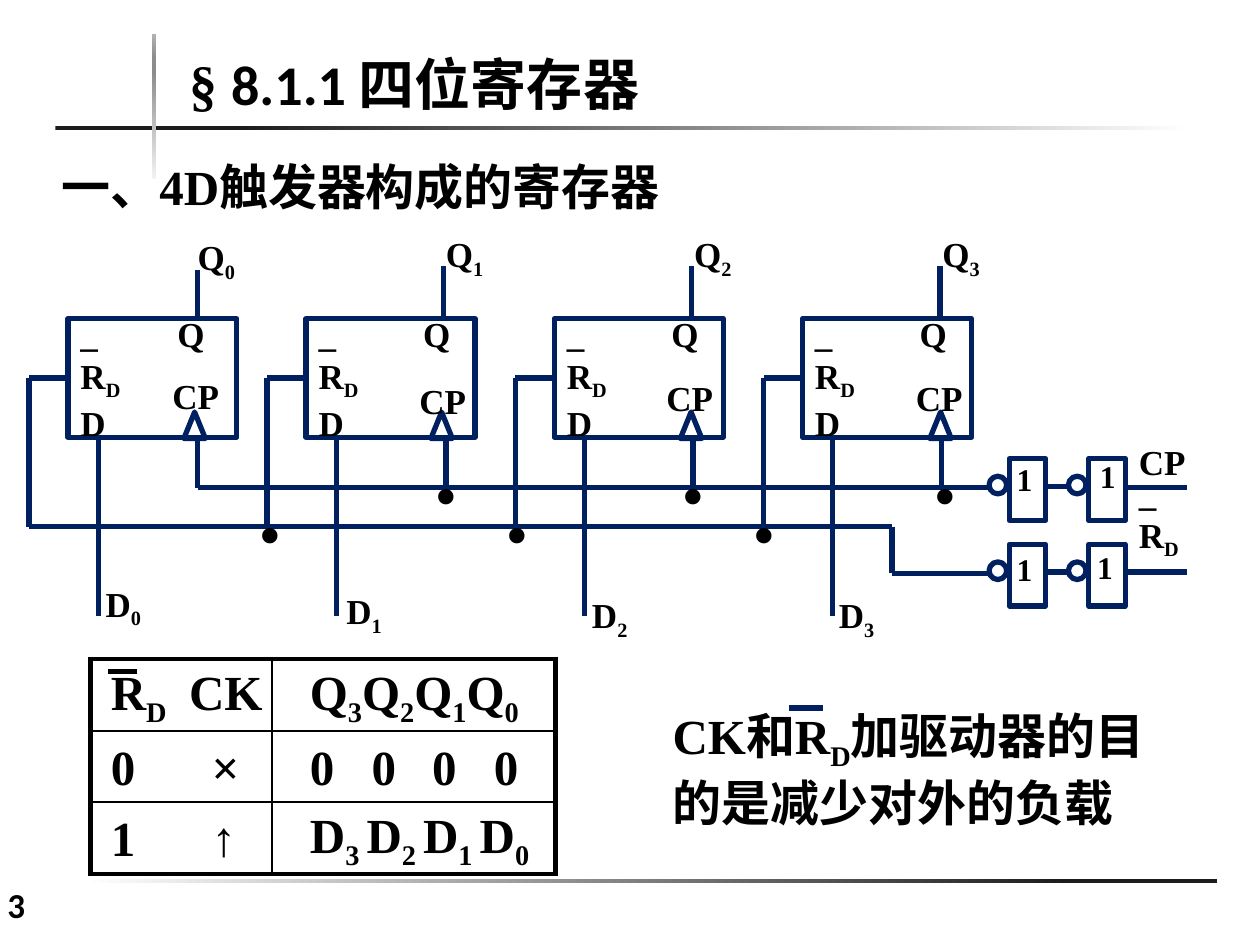
from copy import deepcopy
from lxml.etree import SubElement
from pptx import Presentation
from pptx.dml.color import RGBColor
from pptx.enum.shapes import MSO_CONNECTOR as CONN, MSO_SHAPE as SHAPE
from pptx.enum.text import MSO_ANCHOR as ANCHOR, PP_ALIGN as ALIGN
from pptx.oxml import parse_xml
from pptx.oxml.ns import nsdecls, qn
from pptx.util import Inches, Pt

BLACK = RGBColor(0, 0, 0)
NAVY = RGBColor(0x00, 0x20, 0x60)
WHITE = RGBColor(0xFF, 0xFF, 0xFF)
DARK = RGBColor(0x1C, 0x1C, 0x1C)
PALE = RGBColor(0xF2, 0xF2, 0xF2)
GREY = RGBColor(0x8C, 0x8C, 0x8C)
SILVER = RGBColor(0xB2, 0xB2, 0xB2)
SERIF, SANS = "Times New Roman", "Calibri"

CLOCK_Y, RESET_Y, PIN_Y, BOX_BOTTOM = 3.87, 4.18, 3, 3.47
FLIP_FLOPS = [
    dict(left=0.54, q_tab=0.77, clock=1.57, q_x=1.57, q_top=2.14,
         q_label=(1.47, 1.82), d_label=(0.74, 4.57), tri=1.46, cp=(1.27, 2.92)),
    dict(left=2.43, q_tab=0.83, clock=3.54, q_x=3.52, q_top=2.11,
         q_label=(3.44, 1.8), d_label=(2.65, 4.63), tri=3.42, cp=(3.23, 2.96)),
    dict(left=4.4, q_tab=0.83, clock=5.5, q_x=5.49, q_top=2.11,
         q_label=(5.41, 1.8), d_label=(4.6, 4.66), tri=5.4, cp=(5.19, 2.94)),
    dict(left=6.37, q_tab=0.83, clock=7.47, q_x=7.46, q_top=2.11,
         q_label=(7.38, 1.8), d_label=(6.56, 4.66), tri=7.38, cp=(7.17, 2.94)),
]
JUNCTIONS = [(1.95, 3.51), (3.91, 3.51), (5.87, 3.51),
             (3.35, 3.2), (5.31, 3.2), (7.31, 3.2)]
GATE_LABELS = [(7.97, 3.6), (8.63, 3.58), (8.61, 4.3), (7.97, 4.32)]
TRUTH_TABLE = [
    [("R~D~\tCK", [0.62]), ("Q~3~Q~2~Q~1~Q~0~", [])],
    [("0\t×", [0.8]), ("0\t0\t0\t0", [0.49, 0.97, 1.46])],
    [("1\t↑", [0.8]), ("D~3 ~D~2 ~D~1 ~D~0~", [])],
]


def add_run(p, text, size, name=SERIF, subscript=False):
    r = p.add_run()
    r.text = text
    for key, value in dict(size=Pt(size), name=name, bold=True).items():
        setattr(r.font, key, value)
    r.font.color.rgb = BLACK
    if subscript:
        r._r.get_or_add_rPr().set("baseline", "-25000")


def write(tf, lines, size, name=SERIF, tabs=()):
    for i, line in enumerate(lines):
        p = tf.paragraphs[0] if i == 0 else tf.add_paragraph()
        p.alignment = ALIGN.LEFT
        if tabs and i == 0:
            tab_list = SubElement(p._p.get_or_add_pPr(), qn("a:tabLst"))
            for tab in tabs:
                SubElement(tab_list, qn("a:tab"), pos=str(Inches(tab)), algn="l")
        for j, piece in enumerate(line.split("~")):
            if piece:
                add_run(p, piece, size, name, subscript=j % 2 == 1)


def add_label(slide, at, lines, size, name=SERIF, wrap=True, anchor=ANCHOR.TOP):
    tf = slide.shapes.add_textbox(*map(Inches, at)).text_frame
    tf.word_wrap = wrap
    tf.vertical_anchor = anchor
    write(tf, lines, size, name)
    return tf


def add_outline(slide, kind, at):
    sp = slide.shapes.add_shape(kind, *map(Inches, at))
    sp.shadow.inherit = False
    sp.fill.background()
    sp.line.color.rgb = NAVY
    sp.line.width = Pt(3)
    return sp


def add_wire(slide, *points, color=NAVY):
    for start, end in zip(points, points[1:]):
        wire = slide.shapes.add_connector(CONN.STRAIGHT, *map(Inches, start + end))
        wire.line.color.rgb = color
        wire.line.width = Pt(3)
        SubElement(wire._element.spPr, qn("a:effectLst"))


def add_gradient_bar(slide, at, stops, angle=0):
    sp = slide.shapes.add_shape(SHAPE.RECTANGLE, *map(Inches, at))
    sp.shadow.inherit = False
    sp.line.fill.background()
    sp.fill.gradient()
    sp.fill.gradient_angle = angle
    stop_list = sp._element.spPr.find(".//" + qn("a:gsLst"))
    for _ in stops[2:]:
        stop_list.append(deepcopy(stop_list[0]))
    for stop, (position, color) in zip(sp.fill.gradient_stops, stops):
        stop.position = position
        stop.color.rgb = color


def set_borders(cell, widths):
    tc_pr = cell._tc.get_or_add_tcPr()
    for i, (side, width) in enumerate(widths.items()):
        tc_pr.insert(i, parse_xml(
            f'<a:ln{side} {nsdecls("a")} w="{Pt(width)}"><a:solidFill>'
            f'<a:srgbClr val="{BLACK}"/></a:solidFill></a:ln{side}>'))


def add_truth_table(slide):
    at = map(Inches, (0.72, 5.23, 3.69, 1.69))
    table = slide.shapes.add_table(3, 2, *at).table
    table.first_row = table.horz_banding = False
    for column, width in zip(table.columns, (1.44, 2.25)):
        column.width = Inches(width)
    for i, row in enumerate(TRUTH_TABLE):
        for j, (text, tabs) in enumerate(row):
            cell = table.cell(i, j)
            fmt = dict(margin_left=Inches((0.16, 0.3)[j]), margin_right=0,
                       margin_top=Inches(0.04), margin_bottom=0,
                       vertical_anchor=ANCHOR.MIDDLE)
            for key, value in fmt.items():
                setattr(cell, key, value)
            cell.fill.background()
            write(cell.text_frame, [text], 28, tabs=tabs)
            set_borders(cell, dict(L=1 if j else 3, R=3 if j else 1,
                                   T=1 if i else 3, B=3 if i == 2 else 1))
    add_wire(slide, (0.86, 5.33), (1.09, 5.33), color=BLACK)


def add_flip_flop(slide, index, ff):
    left = ff["left"]
    box = add_outline(slide, SHAPE.RECTANGLE, (left, 2.53, 1.34, 0.94))
    box.text_frame.vertical_anchor = ANCHOR.MIDDLE
    write(box.text_frame, ["_\tQ", "R~D~", "D"], 20, tabs=[ff["q_tab"]])
    add_wire(slide, (left, PIN_Y), (left - 0.31, PIN_Y), (left - 0.31, RESET_Y))
    add_wire(slide, (left + 0.24, BOX_BOTTOM), (left + 0.24, 4.89))
    add_wire(slide, (ff["clock"], BOX_BOTTOM), (ff["clock"], CLOCK_Y))
    add_wire(slide, (ff["q_x"], 2.52), (ff["q_x"], ff["q_top"]))
    add_outline(slide, SHAPE.ISOSCELES_TRIANGLE, (ff["tri"], 3.27, 0.17, 0.21))
    add_label(slide, ff["cp"] + (0.6, 0.43), ["CP"], 20)
    add_label(slide, ff["q_label"] + (0.51, 0.44), [f"Q~{index}~"], 20, wrap=False)
    add_label(slide, ff["d_label"] + (0.5, 0.44), [f"D~{index}~"], 20, wrap=False)


def add_driver(slide, top, output_y):
    for left in (8.01, 8.64):
        add_outline(slide, SHAPE.RECTANGLE, (left, top, 0.29, 0.49))
        add_outline(slide, SHAPE.OVAL, (left - 0.16, top + 0.14, 0.14, 0.14))
    add_wire(slide, (8.3, top + 0.22), (8.48, top + 0.22))
    add_wire(slide, (8.94, output_y), (9.42, output_y))


def add_circuit(slide):
    for index, ff in enumerate(FLIP_FLOPS):
        add_flip_flop(slide, index, ff)
    add_wire(slide, (1.57, CLOCK_Y), (7.87, CLOCK_Y))
    add_wire(slide, (0.23, RESET_Y), (7.08, RESET_Y), (7.08, 4.55), (7.87, 4.55))
    add_driver(slide, 3.64, CLOCK_Y)
    add_driver(slide, 4.32, 4.54)
    add_label(slide, (8.94, 3.45, 0.58, 0.44), ["CP"], 20, wrap=False)
    add_label(slide, (8.94, 3.69, 0.54, 0.77), ["_", "R~D~"], 20, wrap=False)
    for at in JUNCTIONS:
        add_label(slide, at + (0.59, 1), ["."], 54)
    for at in GATE_LABELS:
        add_label(slide, at + (0.41, 0.4), ["1"], 18)


def add_title(slide):
    title = slide.shapes.title
    at = dict(left=1.4, top=0.34, width=7.61, height=0.64)
    for key, value in at.items():
        setattr(title, key, Inches(value))
    tf = title.text_frame
    tf.vertical_anchor = ANCHOR.BOTTOM
    write(tf, ["§ "], 32)
    add_run(tf.paragraphs[0], "8.1.1 四位寄存器", 32, SANS)


def main():
    prs = Presentation()
    prs.slide_width, prs.slide_height = Inches(10), Inches(7.5)
    slide = prs.slides.add_slide(prs.slide_layouts[5])
    add_gradient_bar(slide, (0.66, 6.98, 9, 0.03), [(0, WHITE), (0.87, DARK)])
    add_gradient_bar(slide, (0.44, 1, 9, 0.03), [(0.16, DARK), (1, WHITE)])
    add_gradient_bar(slide, (1.21, 0.27, 0.03, 1.15),
                     [(0, PALE), (0.74, GREY), (0.83, GREY), (1, SILVER)], 90)
    add_title(slide)
    add_label(slide, (-0.04, 6.96, 0.89, 0.38), ["3"], 20, SANS)
    add_label(slide, (0.39, 1.2, 5.47, 0.56), ["一、4D触发器构成的寄存器"], 28,
              anchor=ANCHOR.BOTTOM)
    add_truth_table(slide)
    add_label(slide, (5.24, 5.55, 4.09, 1.03),
              ["CK和R~D~加驱动器的目的是减少对外的负载"], 28)
    add_wire(slide, (6.26, 5.62), (6.53, 5.62))
    add_circuit(slide)
    prs.save("out.pptx")


if __name__ == "__main__":
    main()
